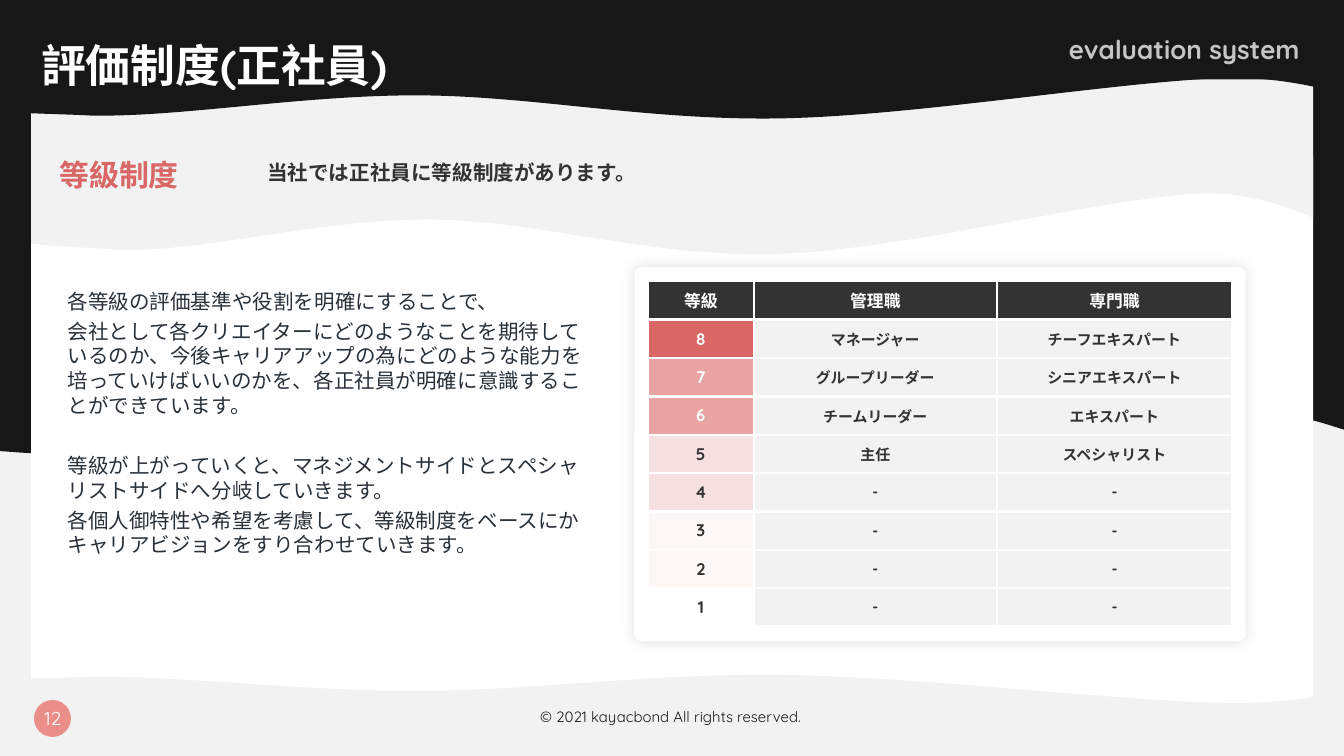
import pptx
import pptx.dml.color
import pptx.enum.shapes
import pptx.enum.text
import pptx.oxml
import pptx.oxml.ns
import pptx.util

Pt = pptx.util.Pt
ALIGN = pptx.enum.text.PP_ALIGN
ANCHOR = pptx.enum.text.MSO_ANCHOR
SHAPE = pptx.enum.shapes.MSO_SHAPE

COLORS = {
    "black": "161716", "white": "FFFFFF", "pale": "F2F2F2", "ink": "323332",
    "body": "283038", "silver": "C4C6C4", "red": "D86766", "badge": "E98E88",
    "rose": "E8A4A3", "blush": "F7E1E0", "cream": "FDF7F6",
}
FONT = "Quicksand"

# Shared wave: x as a share of the width, y as a share of the swing.
# The first and last points join by lines; the rest form cubic curves.
WAVE = [
    (0, .17), (.015, .14), (.032, .11), (.05, .1), (.067, .07),
    (.133, .02), (.223, .57), (.309, .57), (.395, .57), (.481, -.06),
    (.581, 0), (.682, .06), (.834, .93), (.913, 1), (.942, 1.02),
    (.969, .87), (.992, .67), (1, .6),
]

TABLE_ROWS = [
    ("等級", "管理職", "専門職"),
    ("8", "マネージャー", "チーフエキスパート"),
    ("7", "グループリーダー", "シニアエキスパート"),
    ("6", "チームリーダー", "エキスパート"),
    ("5", "主任", "スペシャリスト"),
    *((grade, "-", "-") for grade in "4321"),
]
GRADE_FILLS = ["ink", "red", "rose", "rose", "blush", "blush", "cream", "cream", "white"]
WHITE_GRADES = 4  # header and the three top grades

# Text and space before each paragraph
BODY = [
    ("各等級の評価基準や役割を明確にすることで、", 0),
    ("会社として各クリエイターにどのようなことを期待しているのか、今後キャリアアップの為に"
     "どのような能力を培っていけばいいのかを、各正社員が明確に意識することができています。", 3),
    ("等級が上がっていくと、マネジメントサイドとスペシャリストサイドへ分岐していきます。", 19),
    ("各個人御特性や希望を考慮して、等級制度をベースにかキャリアビジョンをすり合わせていきます。", 3),
]


def rgb(color):
    return pptx.dml.color.RGBColor.from_string(COLORS[color])


def paint(shape, color):
    shape.shadow.inherit = False
    shape.fill.solid()
    shape.fill.fore_color.rgb = rgb(color)
    shape.line.fill.background()


def add_block(page, kind, box, color):
    shape = page.shapes.add_shape(kind, *map(Pt, box))
    paint(shape, color)
    return shape


def format_paragraph(para, size, color, bold=False, align=ALIGN.LEFT, font=FONT):
    para.alignment = align
    for span in para.runs:
        span.font.name = font
        span.font.size = Pt(size)
        span.font.bold = bold
        span.font.color.rgb = rgb(color)


def add_text(page, box, text, size, color, bold=False, align=ALIGN.LEFT, anchor=ANCHOR.MIDDLE):
    frame = page.shapes.add_textbox(*map(Pt, box)).text_frame
    frame.word_wrap = True
    frame.vertical_anchor = anchor
    frame.text = text
    for para in frame.paragraphs:
        format_paragraph(para, size, color, bold, align)
    return frame


def bend(shape, line, controls):
    """Turn a straight segment of a freeform into a cubic curve."""
    curve = pptx.oxml.parse_xml(f'<a:cubicBezTo {pptx.oxml.ns.nsdecls("a")}/>')
    for x, y in controls:
        curve.append(pptx.oxml.parse_xml(
            f'<a:pt {pptx.oxml.ns.nsdecls("a")} x="{x - shape.left}" y="{y - shape.top}"/>'))
    curve.append(line[0])
    line.getparent().replace(line, curve)


def add_wave(page, left, width, flat, base, swing, color):
    """Fill between a flat edge and a wavy one."""
    nodes = [(Pt(left + x * width), Pt(base - y * swing)) for x, y in WAVE]
    anchors = [nodes[0], *nodes[1:-1:3], nodes[-1]]
    builder = page.shapes.build_freeform(*nodes[0], scale=1.0)
    builder.add_line_segments(
        anchors[1:] + [(Pt(left + width), Pt(flat)), (Pt(left), Pt(flat))], close=True)
    shape = builder.convert_to_shape()
    lines = list(shape._element.iter(pptx.oxml.ns.qn("a:lnTo")))
    for line, start in zip(lines[1:], range(2, len(nodes) - 2, 3)):
        bend(shape, line, nodes[start:start + 2])
    paint(shape, color)


def add_backdrop(page, width, height):
    margin = 16.6
    inner = width - 2 * margin
    add_wave(page, 0, width, 0, 246.2, 26.6, "black")
    sheet = add_block(page, SHAPE.ROUNDED_RECTANGLE, (margin, 83.5, inner, 304.5), "white")
    sheet.adjustments[0] = 0
    add_wave(page, 0, width, height, 361.6, -15.1, "pale")
    add_wave(page, margin, inner, 42.5, 136.1, 32.4, "pale")
    add_wave(page, 0, width, 0, 63.4, 21.6, "black")


def add_footer(page, left, top, width, height):
    add_text(page, (left + 251.7, top, 179.3, height), "© 2021 kayacbond All rights reserved.",
             8, "black", align=ALIGN.CENTER)
    add_block(page, SHAPE.OVAL, (left + 0.2, top + 7.4, 19.8, 19.8), "badge")
    add_text(page, (left - 3.5, top + 6.8, 27.4, 20.9), "12", 10, "white", align=ALIGN.CENTER)


def add_header(page, left, top, width):
    add_text(page, (left, top + 9.6, 305, 36), "評価制度(正社員)", 24, "white", True,
             anchor=ANCHOR.TOP)
    add_text(page, (left + 219, top, width - 219, 39), "evaluation system", 14, "silver", True,
             ALIGN.RIGHT)


def add_lead(page, left, top, width, height):
    add_text(page, (left, top + 5.4, 363.6, height - 8.6), "等級制度", 16, "red", True)
    add_text(page, (left + 111.3, top, width - 111.3, height),
             "当社では正社員に等級制度があります。", 11, "ink", True)


def add_body(page, box):
    frame = add_text(page, box, "\n".join(text for text, gap in BODY), 11, "body",
                     anchor=ANCHOR.TOP)
    for para, (text, gap) in zip(frame.paragraphs, BODY):
        para.space_before = Pt(gap)


def add_card_shadow(card):
    properties = card._element.spPr
    for effects in properties.findall(pptx.oxml.ns.qn("a:effectLst")):
        properties.remove(effects)
    properties.append(pptx.oxml.parse_xml(
        f'<a:effectLst {pptx.oxml.ns.nsdecls("a")}>'
        f'<a:outerShdw blurRad="{Pt(8)}" dist="0" dir="0" algn="ctr" rotWithShape="0">'
        '<a:srgbClr val="000000"><a:alpha val="12000"/></a:srgbClr>'
        '</a:outerShdw></a:effectLst>'))


def set_cell_borders(cell):
    properties = cell._tc.get_or_add_tcPr()
    for index, side in enumerate(("lnL", "lnR", "lnT", "lnB")):
        properties.insert(index, pptx.oxml.parse_xml(
            f'<a:{side} {pptx.oxml.ns.nsdecls("a")} w="{Pt(1.5)}"><a:solidFill>'
            f'<a:srgbClr val="{COLORS["white"]}"/></a:solidFill></a:{side}>'))


def add_grade_table(page, left, top, width, height):
    card = add_block(page, SHAPE.ROUNDED_RECTANGLE, (left, top, width, height), "white")
    card.adjustments[0] = 0.02
    add_card_shadow(card)

    columns = (56.7, 130.3, 126)
    row_height = 20.56
    table = page.shapes.add_table(
        len(TABLE_ROWS), len(columns), Pt(left + 7.3), Pt(top + 7.7),
        Pt(sum(columns)), Pt(row_height * len(TABLE_ROWS))).table
    for column, column_width in zip(table.columns, columns):
        column.width = Pt(column_width)
    for r, texts in enumerate(TABLE_ROWS):
        table.rows[r].height = Pt(row_height)
        for c, text in enumerate(texts):
            cell = table.cell(r, c)
            header, grade = r == 0, c == 0
            cell.text = text
            cell.vertical_anchor = ANCHOR.MIDDLE
            cell.margin_left = cell.margin_right = Pt(3.6)
            cell.margin_top = cell.margin_bottom = Pt(2)
            cell.fill.solid()
            cell.fill.fore_color.rgb = rgb(GRADE_FILLS[r] if header or grade else "pale")
            white = header or (grade and r < WHITE_GRADES)
            format_paragraph(cell.text_frame.paragraphs[0], 9 if header or grade else 8,
                             "white" if white else "ink", True, ALIGN.CENTER,
                             "Arial" if header and grade else FONT)
            set_cell_borders(cell)


def main():
    deck = pptx.Presentation()
    deck.slide_width, deck.slide_height = Pt(720), Pt(405)
    page = deck.slides.add_slide(deck.slide_layouts[6])
    page.background.fill.solid()
    page.background.fill.fore_color.rgb = rgb("pale")

    add_backdrop(page, 720, 405)
    add_footer(page, 18, 367.6, 684, 32.4)
    add_header(page, 15, 6.9, 688.4)
    add_lead(page, 24.8, 71.7, 596.9, 41)
    add_body(page, (29.1, 151, 298.8, 181.4))
    add_grade_table(page, 339.8, 143, 327.5, 200.6)
    deck.save("out.pptx")


if __name__ == "__main__":
    main()
